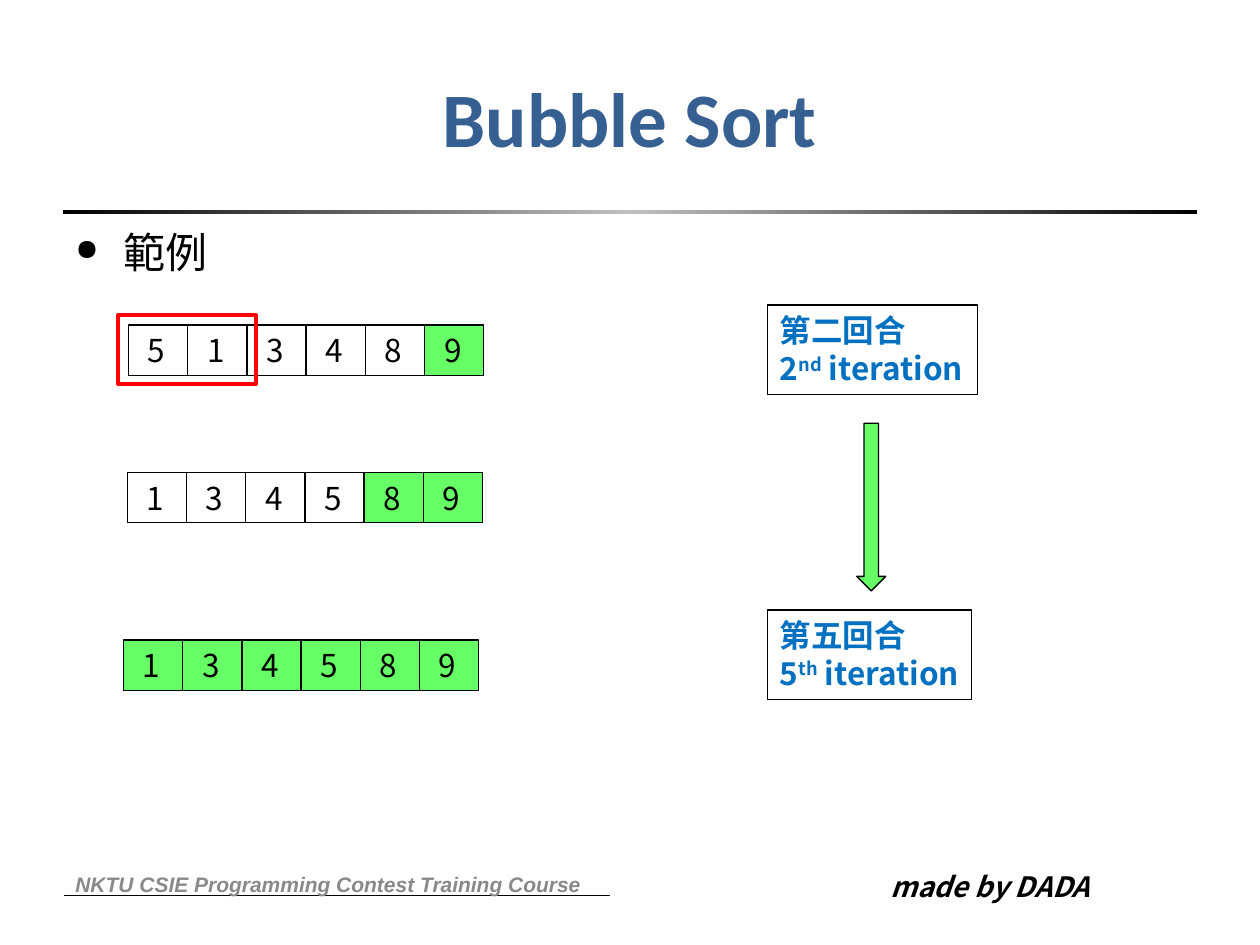
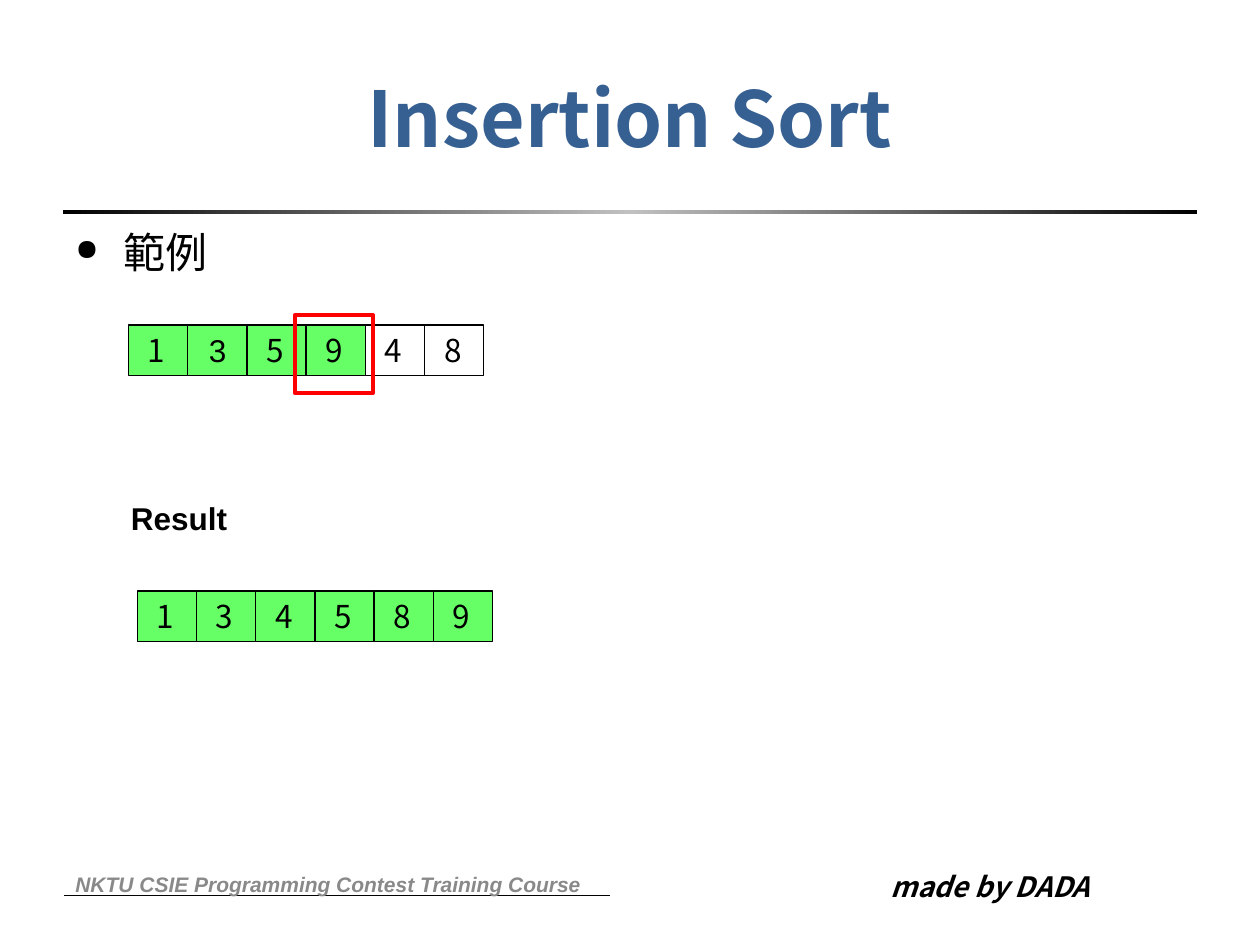
from copy import deepcopy

from lxml.etree import SubElement
from pptx import Presentation
from pptx.dml.color import RGBColor
from pptx.enum.shapes import MSO_CONNECTOR, MSO_SHAPE
from pptx.enum.text import MSO_ANCHOR, MSO_AUTO_SIZE, PP_ALIGN
from pptx.oxml.ns import qn
from pptx.util import Inches, Pt

# Colours and fonts
BLACK = RGBColor(0x00, 0x00, 0x00)
WHITE = RGBColor(0xFF, 0xFF, 0xFF)
SILVER = RGBColor(0xC0, 0xC0, 0xC0)
GRAY = RGBColor(0x89, 0x89, 0x89)
NAVY = RGBColor(0x37, 0x60, 0x92)
BLUE = RGBColor(0x00, 0x70, 0xC0)
GREEN = RGBColor(0x66, 0xFF, 0x66)
RED = RGBColor(0xFF, 0x00, 0x00)
CJK = "Noto Sans CJK SC"
ARIAL = "Arial"

CELL_W, CELL_H = 0.47, 0.4


def write(sp, *paragraphs, size=18, font=CJK, color=BLACK, bold=False,
          italic=False, align=PP_ALIGN.LEFT, anchor=MSO_ANCHOR.TOP,
          wrap=True, grow=False):
    """Each paragraph is a string or a list of (text, baseline percent)."""
    tf = sp.text_frame
    tf.word_wrap = wrap
    tf.vertical_anchor = anchor
    tf.auto_size = MSO_AUTO_SIZE.SHAPE_TO_FIT_TEXT if grow else MSO_AUTO_SIZE.NONE
    for i, runs in enumerate(paragraphs):
        p = tf.add_paragraph() if i else tf.paragraphs[0]
        p.alignment = align
        for text, baseline in [(runs, 0)] if isinstance(runs, str) else runs:
            r = p.add_run()
            r.text = text
            f = r.font
            f.size, f.name, f.bold, f.italic = Pt(size), font, bold, italic
            f.color.rgb = color
            rPr = r._r.get_or_add_rPr()
            SubElement(rPr, qn("a:ea")).set("typeface", font)
            if baseline:
                rPr.set("baseline", str(baseline * 1000))
    return tf


def add_text(s, x, y, w, h, *paragraphs, **fmt):
    sp = s.shapes.add_textbox(Inches(x), Inches(y), Inches(w), Inches(h))
    return write(sp, *paragraphs, **fmt)


def add_box(shapes, x, y, w, h, fill=None, line=BLACK, width=0.75,
            kind=MSO_SHAPE.RECTANGLE):
    sp = shapes.add_shape(kind, Inches(x), Inches(y), Inches(w), Inches(h))
    sp.shadow.inherit = False
    if fill is None:
        sp.fill.background()
    else:
        sp.fill.solid()
        sp.fill.fore_color.rgb = fill
    if line is None:
        sp.line.fill.background()
    else:
        sp.line.color.rgb = line
        sp.line.width = Pt(width)
    return sp


def add_array(s, x, y, digits, done, fonts=None):
    """A row of cells; the positions in done are green."""
    shapes = s.shapes.add_group_shape().shapes
    for i, digit in enumerate(digits):
        sp = add_box(shapes, x + i * CELL_W, y, CELL_W, CELL_H,
                     GREEN if i in done else WHITE)
        write(sp, " " + digit, font=(fonts or {}).get(i, CJK), grow=True)


def add_marker(s, x, y, w, h):
    add_box(s.shapes, x, y, w, h, line=RED, width=2.25)


def add_iteration(s, y, w, label, number, suffix):
    sp = add_box(s.shapes, 6.09, y, w, 0.71)
    write(sp, label, [(number, 0), (suffix, 30), (" iteration", 0)],
          color=BLUE, bold=True, wrap=False, grow=True)


def add_rule(s):
    """Band under the title, fading to silver in the middle."""
    sp = add_box(s.shapes, 0.5, 1.67, 9, 0.03, line=None)
    sp.fill.gradient()
    sp.fill.gradient_angle = 0
    stops = sp._element.spPr.find(".//" + qn("a:gsLst"))
    stops.append(deepcopy(stops[-1]))
    for stop, position, color in zip(sp.fill.gradient_stops, (0, 0.5, 1),
                                     (BLACK, SILVER, BLACK)):
        stop.position = position
        stop.color.rgb = color


def add_footer(s):
    line = s.shapes.add_connector(MSO_CONNECTOR.STRAIGHT, Inches(0.51),
                                  Inches(7.11), Inches(4.84), Inches(7.11))
    line.line.color.rgb = BLACK
    line.line.width = Pt(0.5)
    SubElement(line._element.spPr, qn("a:effectLst"))
    add_text(s, 6.97, 6.85, 2.52, 0.37, "made by DADA", size=16, bold=True,
             italic=True, grow=True)
    add_text(s, 0.5, 6.82, 4.26, 0.4,
             "NKTU CSIE Programming Contest Training Course", size=12,
             font=ARIAL, color=GRAY, bold=True, italic=True,
             anchor=MSO_ANCHOR.MIDDLE)


def add_bullet(s, text):
    p = add_text(s, 0.5, 1.75, 9, 4.95, text, size=24).paragraphs[0]
    p.space_before = Pt(4.8)
    pPr = p._p.get_or_add_pPr()
    pPr.set("marL", str(Inches(0.38)))
    pPr.set("indent", str(-Inches(0.38)))
    SubElement(pPr, qn("a:buSzPct")).set("val", "70000")
    SubElement(pPr, qn("a:buChar")).set("char", "●")


def add_sort_slide(prs, title, font):
    s = prs.slides.add_slide(prs.slide_layouts[6])
    add_rule(s)
    add_footer(s)
    add_text(s, 0.5, 0.3, 9, 1.25, title, size=44, font=font, color=NAVY,
             bold=True, align=PP_ALIGN.CENTER, anchor=MSO_ANCHOR.MIDDLE)
    add_bullet(s, "範例")
    return s


def bubble_sort(prs):
    s = add_sort_slide(prs, "Bubble Sort", "Calibri")
    add_array(s, 1.02, 2.58, "513489", {5})
    add_marker(s, 0.94, 2.5, 1.09, 0.55)
    add_array(s, 1.01, 3.75, "134589", {4, 5})
    add_array(s, 0.98, 5.08, "134589", range(6))
    # From the second round to the fifth
    add_iteration(s, 2.42, 1.67, "第二回合", "2", "nd")
    add_iteration(s, 4.84, 1.62, "第五回合", "5", "th")
    add_box(s.shapes, 6.8, 3.36, 0.23, 1.33, GREEN, kind=MSO_SHAPE.DOWN_ARROW)


def insertion_sort(prs):
    s = add_sort_slide(prs, "Insertion Sort", CJK)
    add_array(s, 1.02, 2.58, "135948", range(4), fonts={1: ARIAL})
    add_marker(s, 2.34, 2.5, 0.62, 0.62)
    # Sorted outcome
    add_text(s, 0.94, 3.91, 0.97, 0.4, "Result", font=ARIAL, bold=True,
             wrap=False, grow=True)
    add_array(s, 1.09, 4.69, "134589", range(6))


def main():
    prs = Presentation()
    prs.slide_width, prs.slide_height = Inches(10), Inches(7.5)
    bubble_sort(prs)
    insertion_sort(prs)
    prs.save("out.pptx")


if __name__ == "__main__":
    main()
